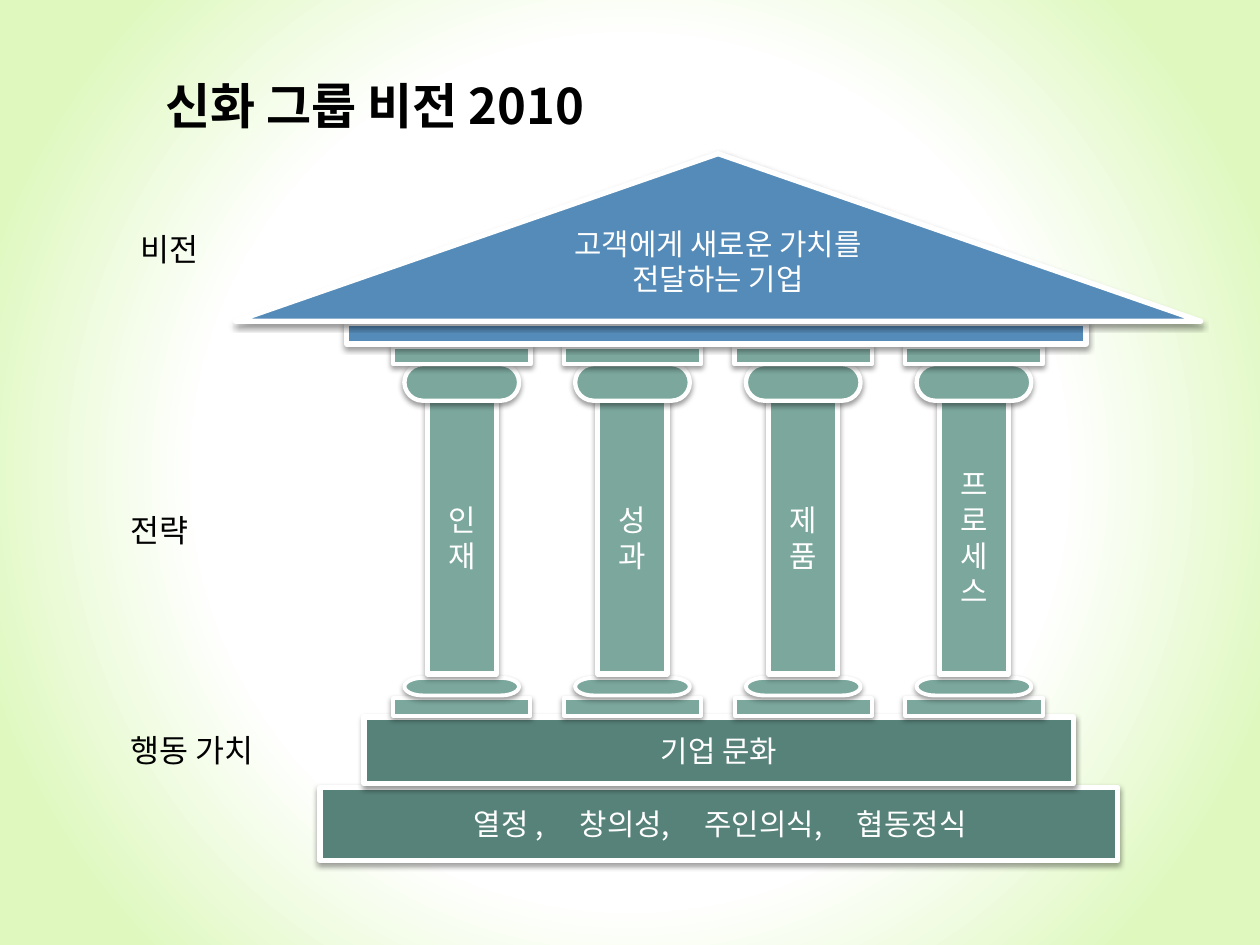
from lxml import etree
from pptx import Presentation
from pptx.dml.color import RGBColor
from pptx.enum.shapes import MSO_SHAPE
from pptx.enum.text import MSO_ANCHOR, MSO_AUTO_SIZE, PP_ALIGN
from pptx.oxml.ns import qn
from pptx.util import Inches, Pt

RECT = MSO_SHAPE.RECTANGLE
TERMINATOR = MSO_SHAPE.FLOWCHART_TERMINATOR
TRIANGLE = MSO_SHAPE.ISOSCELES_TRIANGLE
MIDDLE = MSO_ANCHOR.MIDDLE
GROW = MSO_AUTO_SIZE.SHAPE_TO_FIT_TEXT
NO_FIT = MSO_AUTO_SIZE.NONE
LEFT, CENTER = PP_ALIGN.LEFT, PP_ALIGN.CENTER

FONT = "Noto Sans CJK KR"
WHITE = RGBColor(0xFF, 0xFF, 0xFF)
BLACK = RGBColor(0x00, 0x00, 0x00)
LIME = RGBColor(0xDE, 0xF8, 0xBE)
BLUE = RGBColor(0x55, 0x8B, 0xB8)
SAGE = RGBColor(0x7B, 0xA7, 0x9D)
DARK_GREEN = RGBColor(0x57, 0x82, 0x79)


def add_run(p, text, size, color, bold=False):
    r = p.add_run()
    r.text = text
    r.font.size = Pt(size)
    r.font.bold = bold
    r.font.color.rgb = color
    r.font.name = FONT
    etree.SubElement(r._r.get_or_add_rPr(), qn("a:ea"), typeface=FONT)


def add_shadow(s):
    s.shadow.inherit = False
    effects = s._element.spPr.find(qn("a:effectLst"))
    shadow = etree.SubElement(effects, qn("a:outerShdw"), blurRad=str(Pt(3.1)),
                              dist=str(Pt(1.6)), dir="5400000", rotWithShape="0")
    color = etree.SubElement(shadow, qn("a:srgbClr"), val="000000")
    etree.SubElement(color, qn("a:alpha"), val="38000")


def add_block(slide, kind, box, fill, line=3, text=None):
    """White-outlined building block, with centred text if any."""
    s = slide.shapes.add_shape(kind, *(Inches(v) for v in box))
    s.fill.solid()
    s.fill.fore_color.rgb = fill
    s.line.color.rgb = WHITE
    s.line.width = Pt(line)
    add_shadow(s)
    if text:
        tf = s.text_frame
        tf.word_wrap = True
        tf.vertical_anchor = MIDDLE
        p = tf.paragraphs[0]
        p.alignment = CENTER
        for i, part in enumerate(text.split("\n")):
            if i:
                p.add_line_break()
            add_run(p, part, 17, WHITE)
    return s


def set_background(slide):
    fill = slide.background.fill
    fill.gradient()
    for stop, position, color in zip(fill.gradient_stops, (0.55, 0.87), (WHITE, LIME)):
        stop.color.rgb = color
        stop.position = position
    grad = slide._element.find(".//" + qn("a:gradFill"))
    grad.remove(grad.find(qn("a:lin")))
    radial = etree.SubElement(grad, qn("a:path"), path="circle")
    etree.SubElement(radial, qn("a:fillToRect"), l="50000", t="50000", r="50000", b="50000")


def set_title(slide, box, text):
    title = slide.shapes.title
    title.left, title.top, title.width, title.height = (Inches(v) for v in box)
    tf = title.text_frame
    tf.auto_size = NO_FIT
    tf.vertical_anchor = MIDDLE
    p = tf.paragraphs[0]
    p.alignment = CENTER
    add_run(p, text, 28, BLACK, bold=True)


def add_label(slide, left, top, text):
    s = slide.shapes.add_textbox(Inches(left), Inches(top), Inches(2.42), Inches(0.4))
    tf = s.text_frame
    tf.word_wrap = True
    tf.auto_size = GROW
    add_run(tf.paragraphs[0], text, 18, BLACK)


def add_base(slide, box):
    """Two steps: the lower lists the values, the upper names the culture."""
    left, top, width, height = box
    values = add_block(slide, RECT, (left, top + 0.56, width, height - 0.56), DARK_GREEN,
                       text="열정 ,\t창의성,\t주인의식,\t협동정식")
    values.text_frame.margin_left = Inches(1.22)
    p = values.text_frame.paragraphs[0]
    p.alignment = LEFT
    tabs = etree.SubElement(p._p.get_or_add_pPr(), qn("a:tabLst"))
    for position in (0.84, 1.83, 3.04):
        etree.SubElement(tabs, qn("a:tab"), pos=str(Inches(position)), algn="l")
    add_block(slide, RECT, (left + 0.35, top, width - 0.7, 0.53), DARK_GREEN, text="기업 문화")


def add_pillar(slide, box, text):
    left, top, width, height = box
    bottom = top + height
    # Kind, width, top, height, line width, text; from the foot upwards
    parts = [
        (RECT, width, bottom - 0.14, 0.14, 2.25, None),
        (TERMINATOR, 0.91, bottom - 0.3, 0.14, 2.25, None),
        (RECT, 0.55, top + 0.43, height - 0.76, 3, text),
        (TERMINATOR, 0.91, top + 0.14, 0.29, 2.5, None),
        (RECT, width, top, 0.14, 2.5, None),
    ]
    for kind, w, y, h, line, words in parts:
        add_block(slide, kind, (left + (width - w) / 2, y, w, h), SAGE, line, words)


def add_roof(slide, box):
    left, top, width, height = box
    add_block(slide, RECT, (left + 0.88, top + height - 0.16, 5.87, 0.16), BLUE)
    gable = add_block(slide, TRIANGLE, (left, top, width, height - 0.18), BLUE,
                      text="고객에게 새로운 가치를\n전달하는 기업")
    gable.text_frame.margin_bottom = Inches(0.34)


def main():
    prs = Presentation()
    prs.slide_width, prs.slide_height = Inches(10), Inches(7.5)
    slide = prs.slides.add_slide(prs.slide_layouts[5])
    set_background(slide)
    set_title(slide, (0.2, 0.55, 5.55, 0.57), "신화 그룹 비전 2010")

    # Temple, from the ground up
    add_base(slide, (2.54, 5.69, 6.33, 1.14))
    for i, text in enumerate(("인재", "성과", "제품", "프로세스")):
        add_pillar(slide, (3.12 + 1.355 * i, 2.75, 1.09, 2.93), text)
    add_roof(slide, (1.87, 1.22, 7.66, 1.51))

    # Level names
    for left, top, text in ((1.02, 1.78, "비전"), (0.94, 4.01, "전략"), (0.94, 5.75, "행동 가치")):
        add_label(slide, left, top, text)
    prs.save("out.pptx")


if __name__ == "__main__":
    main()
